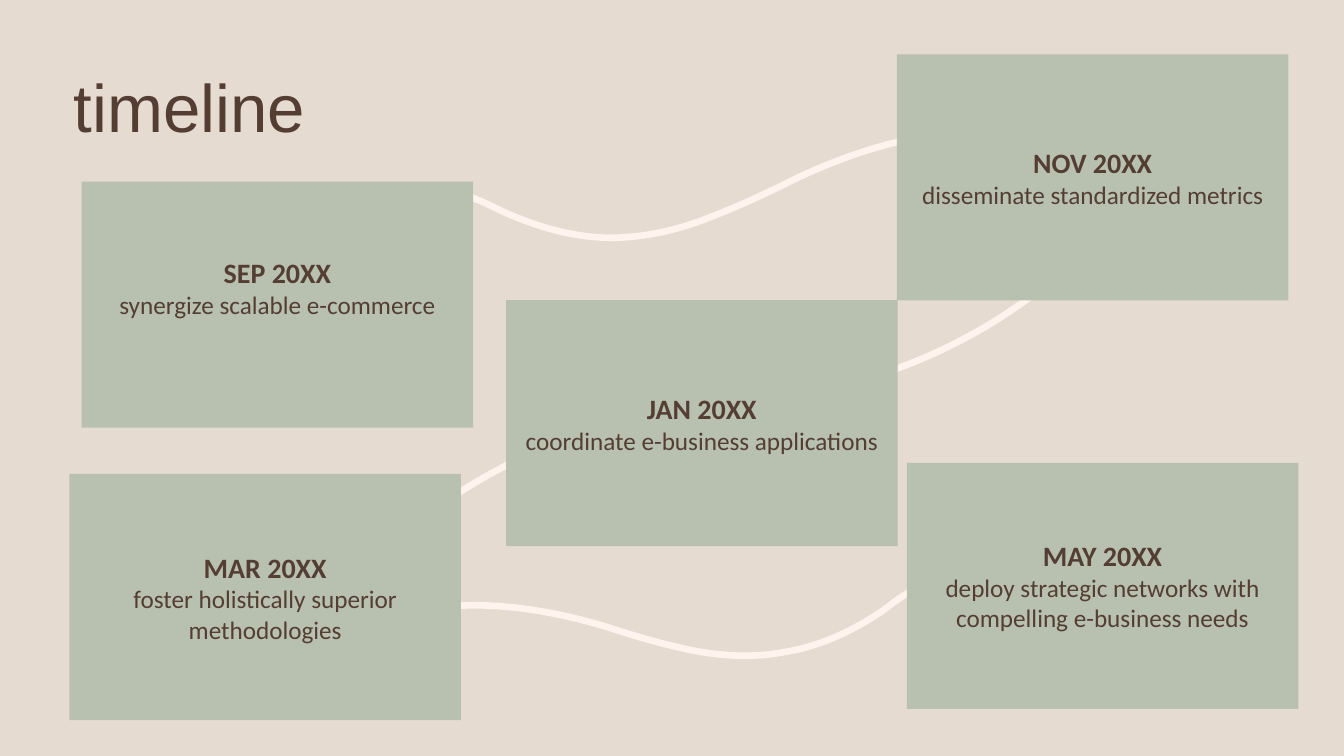
from lxml import etree
from pptx import Presentation
from pptx import util as u
from pptx.dml.color import RGBColor
from pptx.enum import shapes, text
from pptx.oxml.ns import qn

Pt = u.Pt
COLORS = {"sand": "E6DBD0", "sage": "B8C0B0", "cream": "FEF3ED", "brown": "543E34"}
CARD_W, CARD_H = 279.7, 175.75

# Cards: left, top, date, milestone, bottom inset
CARDS = [
    (58.3, 129.7, "SEP 20XX", "synergize scalable e-commerce", 28),
    (640.7, 38.8, "NOV 20XX", "disseminate standardized metrics", 3.6),
    (361.5, 214.4, "JAN 20XX", "coordinate e-business applications", 3.6),
    (49.6, 338.6, "MAR 20XX", "foster holistically superior methodologies", 3.6),
    (647.7, 330.7, "MAY 20XX",
     "deploy strategic networks with compelling e-business needs", 3.6),
]

# Curves: a start point, then two controls and an end for each segment
CURVES = [
    [(599.8, 275.8), (657.4, 261.4), (709.2, 235.4), (753.8, 198)],
    [(420.5, 308.2), (366.5, 325.4), (320.4, 352.8), (280.1, 388.1)],
    [(221, 160.6), (252, 134.6), (286.6, 127.4), (323.3, 136.8),
     (335.5, 139.7), (346.3, 144.7), (357.8, 150.5),
     (381.6, 161.3), (406.8, 169.2), (434.9, 169.9),
     (458.6, 169.9), (482.4, 164.9), (504.7, 156.2),
     (530.6, 146.2), (545, 139), (560.2, 131.8),
     (576.7, 123.1), (676.8, 74.2), (739.4, 105.1)],
    [(662.4, 416.9), (650.9, 421.2), (641.5, 427.7), (631.4, 435.6),
     (610.6, 450), (586.8, 461.5), (560.2, 465.8),
     (537.1, 470.2), (514.1, 468.7), (490.3, 463.7),
     (464.4, 457.9), (449.3, 452.9), (433.4, 447.8),
     (416.2, 442.8), (312.5, 410.4), (249.8, 457.9)],
]


def rgb(name):
    return RGBColor.from_string(COLORS[name])


def write(p, words, size=18, font="Calibri", color="brown", bold=False,
          align=text.PP_ALIGN.CENTER, spacing=1.0):
    p.alignment = align
    p.line_spacing = spacing
    p.space_before = p.space_after = Pt(0)
    r = p.add_run()
    r.text = words
    r.font.size, r.font.name, r.font.bold = Pt(size), font, bold
    r.font.color.rgb = rgb(color)


def add_curve(s, points):
    start, *rest = [(Pt(x), Pt(y)) for x, y in points]
    builder = s.shapes.build_freeform(*start)
    builder.add_line_segments(rest, close=False)
    sp = builder.convert_to_shape()
    # Turn each three straight pieces into one cubic segment
    pieces = list(sp._element.iter(qn("a:lnTo")))
    for i in range(0, len(pieces), 3):
        cubic = etree.Element(qn("a:cubicBezTo"))
        pieces[i].addprevious(cubic)
        for piece in pieces[i:i + 3]:
            cubic.append(piece[0])
            piece.getparent().remove(piece)
    sp.shadow.inherit = False
    sp.fill.background()
    sp.line.color.rgb = rgb("cream")
    sp.line.width = Pt(4.75)


def add_card(s, left, top, date, milestone, bottom_inset):
    sp = s.shapes.add_shape(shapes.MSO_SHAPE.RECTANGLE,
                            Pt(left), Pt(top), Pt(CARD_W), Pt(CARD_H))
    sp.shadow.inherit = False
    sp.fill.solid()
    sp.fill.fore_color.rgb = rgb("sage")
    sp.line.fill.background()
    tf = sp.text_frame
    tf.word_wrap = True
    tf.vertical_anchor = text.MSO_ANCHOR.MIDDLE
    tf.margin_bottom = Pt(bottom_inset)
    write(tf.paragraphs[0], date, size=20, bold=True)
    write(tf.add_paragraph(), milestone)


def set_title(s, words):
    sp = s.shapes.title
    sp.left, sp.top, sp.width, sp.height = Pt(45.4), Pt(6.5), Pt(596), Pt(102.2)
    tf = sp.text_frame
    tf.auto_size = text.MSO_AUTO_SIZE.NONE
    tf.vertical_anchor = text.MSO_ANCHOR.BOTTOM
    write(tf.paragraphs[0], words, size=48, font="Arial",
          align=text.PP_ALIGN.LEFT, spacing=0.9)


def main():
    prs = Presentation()
    prs.slide_width, prs.slide_height = Pt(960), Pt(540)
    s = prs.slides.add_slide(prs.slide_layouts.get_by_name("Title Only"))
    s.background.fill.solid()
    s.background.fill.fore_color.rgb = rgb("sand")

    # Winding path behind the cards
    for points in CURVES:
        add_curve(s, points)

    # Title and milestones
    set_title(s, "timeline")
    for card in CARDS:
        add_card(s, *card)

    prs.save("out.pptx")


if __name__ == "__main__":
    main()
